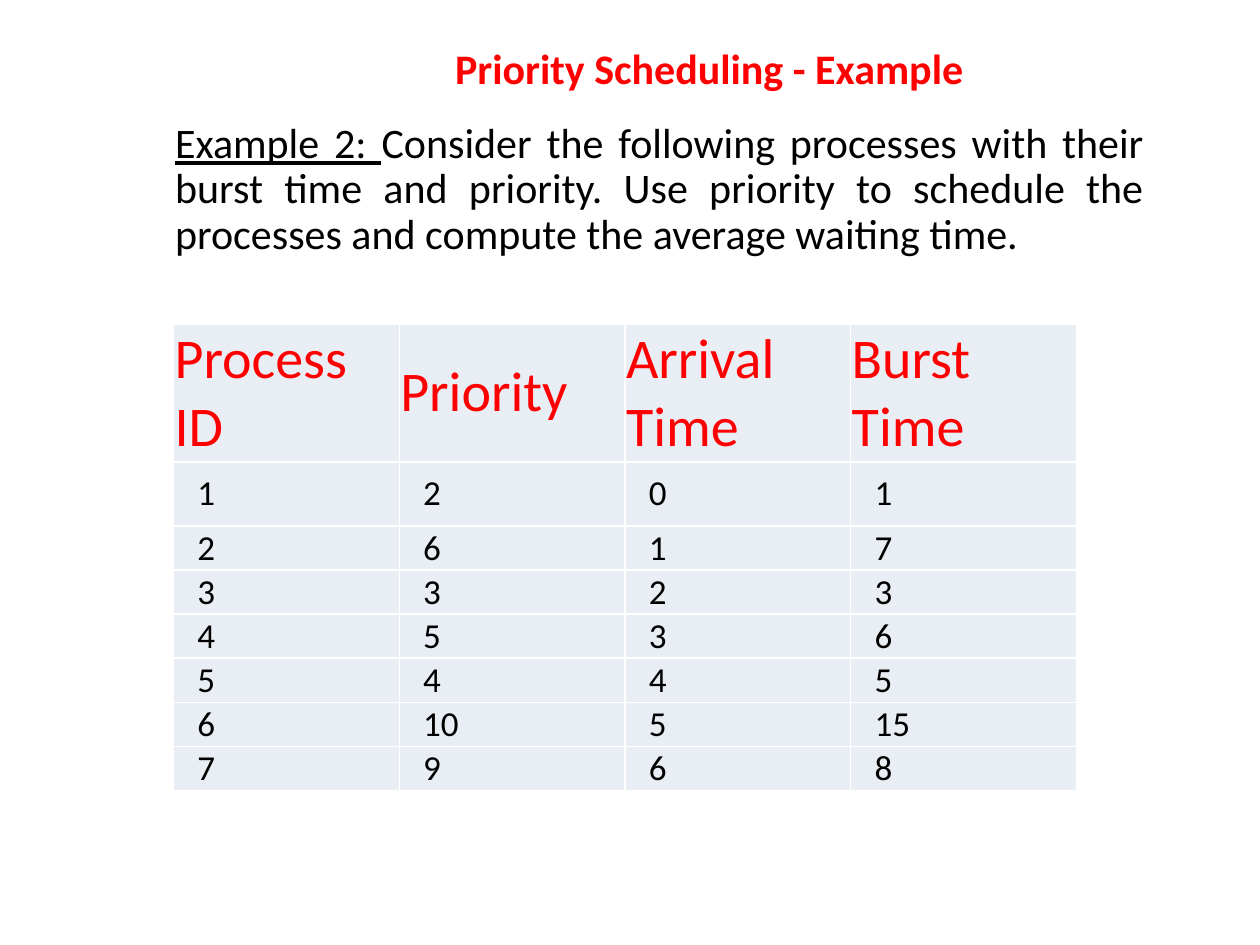
from pptx import Presentation
from pptx.dml.color import RGBColor
from pptx.enum.text import MSO_ANCHOR, PP_ALIGN
from pptx.util import Cm, Pt

RED = RGBColor(0xFF, 0x00, 0x00)
BLACK = RGBColor(0x00, 0x00, 0x00)
PALE_BLUE = RGBColor(0xE9, 0xED, 0xF4)

HEADINGS = ["Process ID", "Priority", "Arrival Time", "Burst Time"]
PROCESSES = [
    (1, 2, 0, 1),
    (2, 6, 1, 7),
    (3, 3, 2, 3),
    (4, 5, 3, 6),
    (5, 4, 4, 5),
    (6, 10, 5, 15),
    (7, 9, 6, 8),
]
TASK = ("Consider the following processes with their burst time and priority. "
        "Use priority to schedule the processes and compute the average waiting time.")


def add_text(paragraph, text, size=24, color=BLACK, bold=False, underline=False):
    """Append one formatted run to a paragraph."""
    run = paragraph.add_run()
    run.text = text
    run.font.name = "Calibri"
    run.font.size = Pt(size)
    run.font.color.rgb = color
    run.font.bold = bold
    run.font.underline = underline


def add_title(slide, left, top, width, height):
    """Place the centred slide title."""
    frame = slide.shapes.add_textbox(Cm(left), Cm(top), Cm(width), Cm(height)).text_frame
    frame.word_wrap = True
    frame.vertical_anchor = MSO_ANCHOR.MIDDLE
    heading = frame.paragraphs[0]
    heading.alignment = PP_ALIGN.CENTER
    add_text(heading, "Priority Scheduling - Example", color=RED, bold=True)


def add_task(slide, left, top, width, height):
    """Place the justified statement of the example."""
    frame = slide.shapes.add_textbox(Cm(left), Cm(top), Cm(width), Cm(height)).text_frame
    frame.word_wrap = True
    frame.margin_left = Cm(1.22)
    statement = frame.paragraphs[0]
    statement.alignment = PP_ALIGN.JUSTIFY
    statement.line_spacing = 0.9
    add_text(statement, "Example 2: ", underline=True)
    add_text(statement, TASK)


def fill_cell(cell, text, indent, padding=0.02, **text_format):
    """Write one table cell with its fill and margins."""
    cell.fill.solid()
    cell.fill.fore_color.rgb = PALE_BLUE
    cell.vertical_anchor = MSO_ANCHOR.MIDDLE
    cell.margin_left, cell.margin_right = Cm(indent), Cm(0.02)
    cell.margin_top, cell.margin_bottom = Cm(padding), Cm(padding)
    add_text(cell.text_frame.paragraphs[0], text, **text_format)


def add_process_table(slide, left, top, width, height):
    """Place the table of processes, sharing the height left by the two tall rows."""
    row_count, column_count = len(PROCESSES) + 1, len(HEADINGS)
    table = slide.shapes.add_table(
        row_count, column_count, Cm(left), Cm(top), Cm(width), Cm(height)).table
    table.first_row = False
    table.horz_banding = False

    tall_rows = [2.78, 1.29]
    short_count = row_count - len(tall_rows)
    short_row = (height - sum(tall_rows)) / short_count
    for row, row_height in zip(table.rows, tall_rows + [short_row] * short_count):
        row.height = Cm(row_height)

    for column, heading in enumerate(HEADINGS):
        fill_cell(table.cell(0, column), heading, indent=0.02, size=32, color=RED)
    for row, process in enumerate(PROCESSES, start=1):
        for column, value in enumerate(process):
            padding = 0.2 if (row, column) == (1, 0) else 0.02
            fill_cell(table.cell(row, column), str(value), indent=0.48,
                      padding=padding, size=20)


def main():
    """Build the slide and save it."""
    presentation = Presentation()
    presentation.slide_width, presentation.slide_height = Cm(25.4), Cm(19.05)
    slide = presentation.slides.add_slide(presentation.slide_layouts[6])
    add_title(slide, 3.2, 0.74, 22.2, 1.27)
    add_task(slide, 2.31, 2.34, 21, 15.2)
    add_process_table(slide, 3.5, 6.53, 18.2, 9.41)
    presentation.save("out.pptx")


if __name__ == "__main__":
    main()
